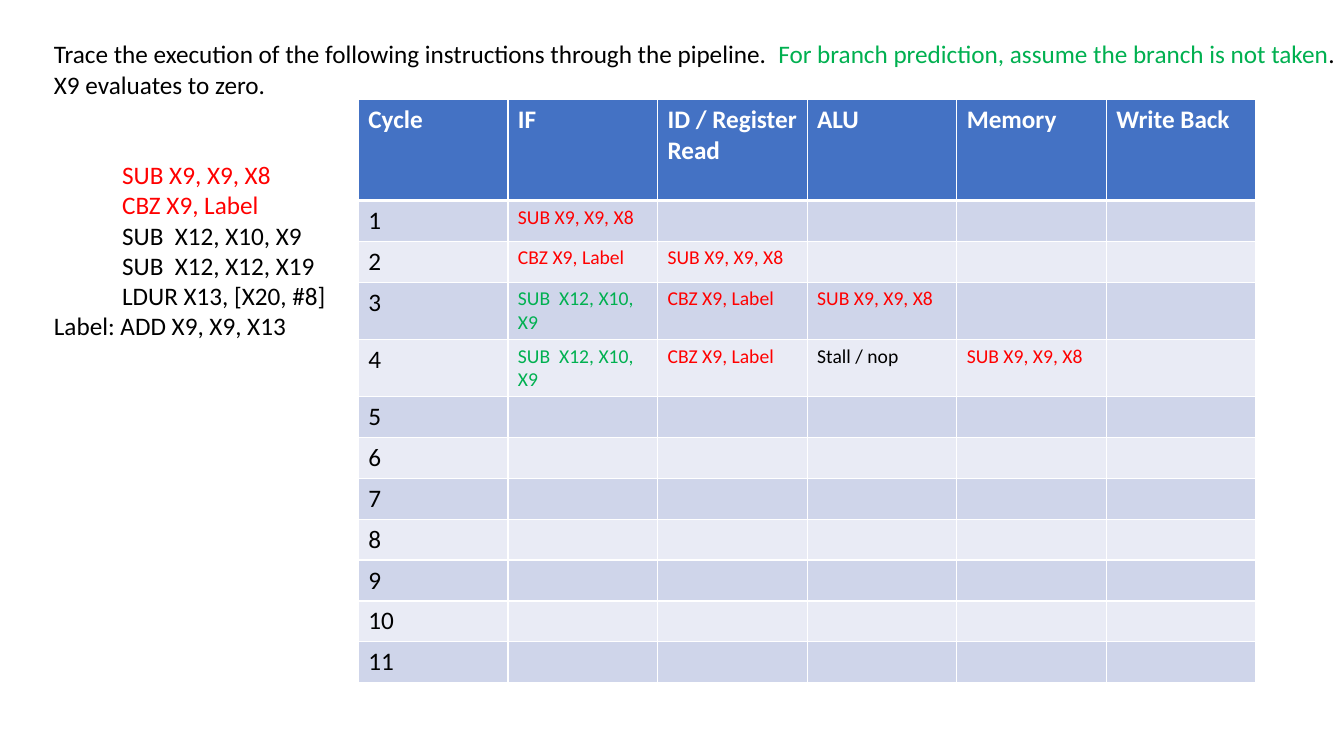
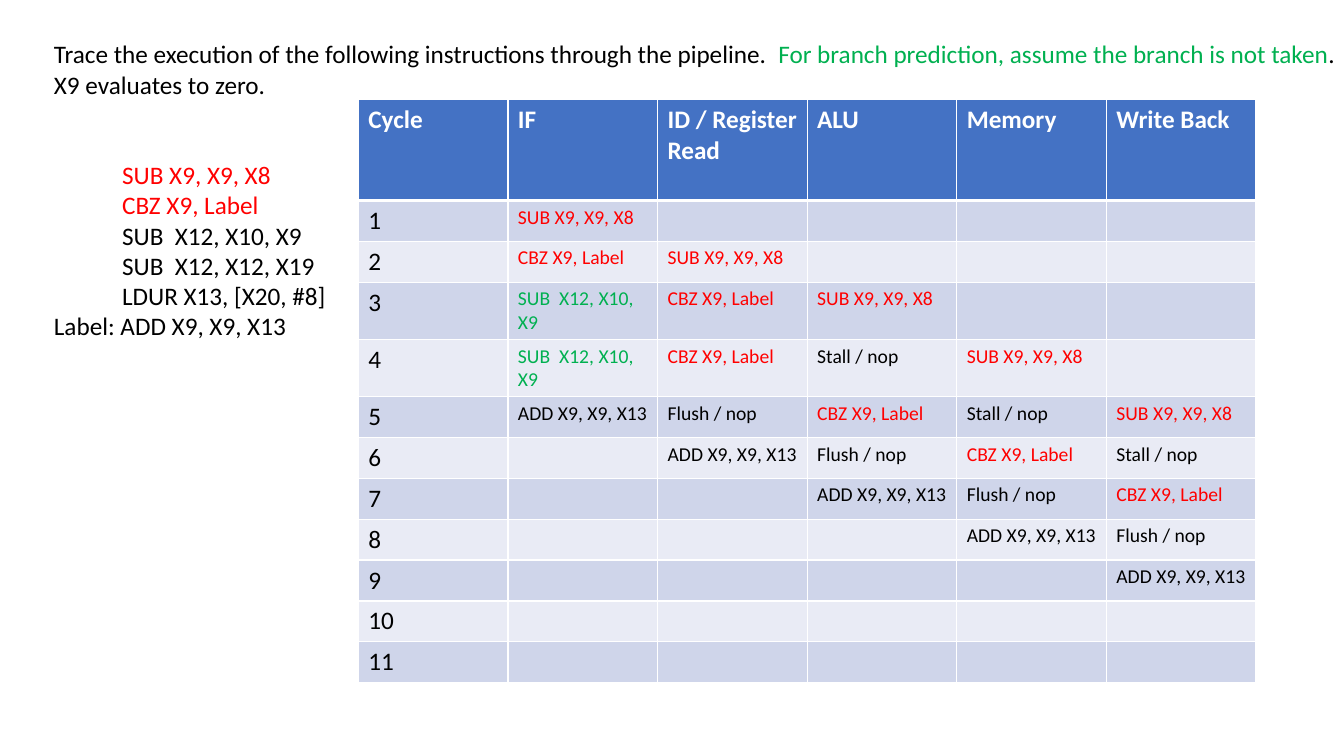
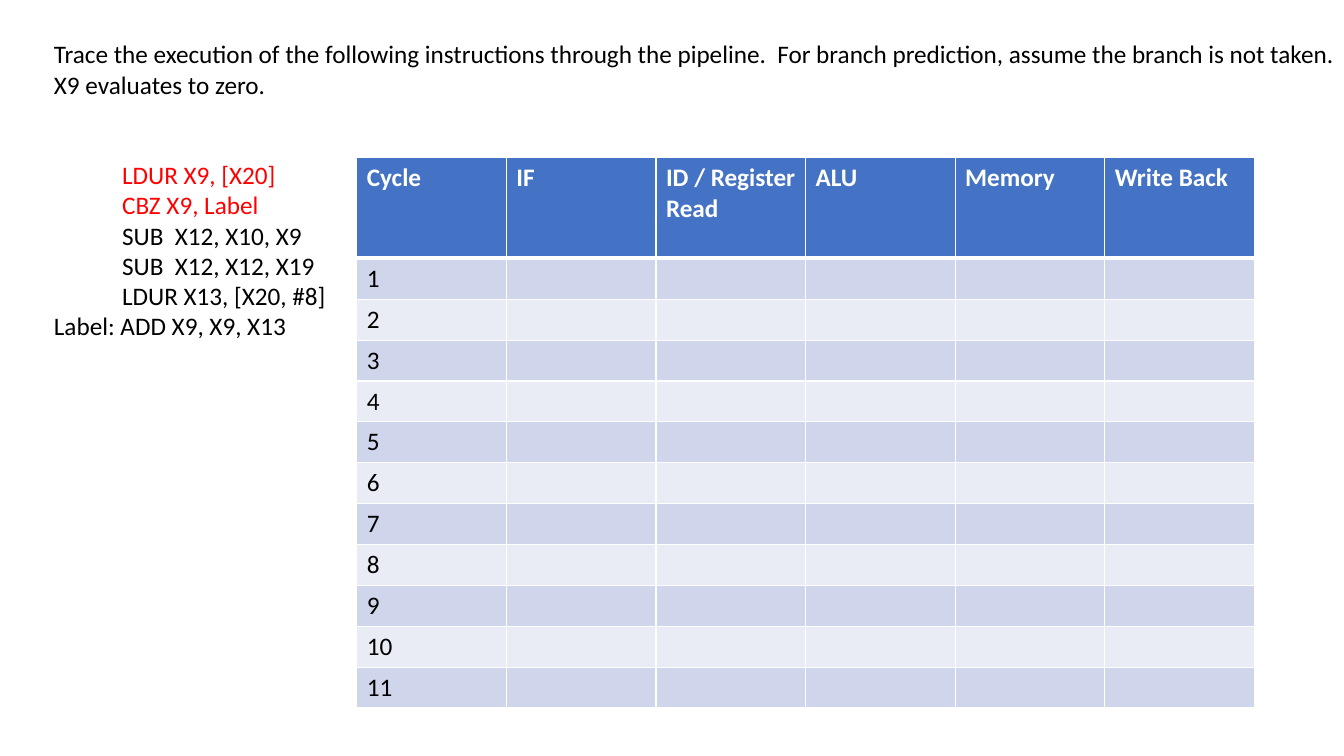
"""Builds three slides that trace instructions through a processor pipeline."""
from lxml import etree
from pptx import Presentation
from pptx.dml.color import RGBColor
from pptx.enum.text import MSO_AUTO_SIZE
from pptx.oxml.ns import qn
from pptx.util import Cm, Pt

GROW = MSO_AUTO_SIZE.SHAPE_TO_FIT_TEXT
BLANK = 6
FONT = "Calibri"
BLACK, WHITE, RED, GREEN = "000000", "FFFFFF", "FF0000", "00B050"
HEADER_FILL, BAND_FILLS = "4472C4", ("E9EBF5", "CFD5EA")

TASK = "Trace the execution of the following instructions through the pipeline.  "
PREDICTION = "For branch prediction, assume the branch is not taken"
OUTCOME = "X9 evaluates to zero."
INDENT = "            "
SHARED_CODE = [
    (INDENT + "CBZ X9, Label", RED),
    (INDENT + "SUB  X12, X10, X9", BLACK),
    (INDENT + "SUB  X12, X12, X19", BLACK),
    (INDENT + "LDUR X13, [X20, #8]", BLACK),
    ("Label: ADD X9, X9, X13", BLACK),
]

STAGES = ["Cycle", "IF", "ID / Register Read", "ALU", "Memory", "Write Back"]
CYCLES = 11
SUB, CBZ, NEXT, ADD = "SUB X9, X9, X8", "CBZ X9, Label", "SUB  X12, X10, X9", "ADD X9, X9, X13"
STALL, FLUSH = "Stall / nop", "Flush / nop"
CELL_COLOURS = {SUB: RED, CBZ: RED, NEXT: GREEN}
TRACE = [
    [SUB],
    [CBZ, SUB],
    [NEXT, CBZ, SUB],
    [NEXT, CBZ, STALL, SUB],
    [ADD, FLUSH, CBZ, STALL, SUB],
    ["", ADD, FLUSH, CBZ, STALL],
    ["", "", ADD, FLUSH, CBZ],
    ["", "", "", ADD, FLUSH],
    ["", "", "", "", ADD],
]

SLIDES = [
    {"first": SUB, "prediction": GREEN, "trace": TRACE[:4], "table_at": (9.03, 2.51)},
    {"first": SUB, "prediction": GREEN, "trace": TRACE, "table_at": (9.03, 2.51)},
    {"first": "LDUR X9, [X20]", "prediction": BLACK, "trace": [], "table_at": (8.99, 3.97)},
]
COLUMN_WIDTH, HEADER_HEIGHT, ROW_HEIGHT = 3.77, 2.54, 1.03


def rgb(colour):
    return RGBColor.from_string(colour)


def add_run(p, text, colour=BLACK, **extra):
    r = p.add_run()
    r.text = text
    for name, value in {"name": FONT, "size": Pt(18), **extra}.items():
        setattr(r.font, name, value)
    r.font.color.rgb = rgb(colour)


def add_exercise(s, first, prediction):
    tf = s.shapes.add_textbox(Cm(1.11), Cm(0.85), Cm(33.2), Cm(7.95)).text_frame
    tf.word_wrap, tf.auto_size = False, GROW
    code = [(INDENT + first, RED)] + SHARED_CODE
    lines = [[(TASK, BLACK), (PREDICTION, prediction), (".", BLACK)], [(OUTCOME, BLACK)]]
    code_start = len(lines)
    lines += [[line] for line in code]
    for i, runs in enumerate(lines):
        p = tf.add_paragraph() if i else tf.paragraphs[0]
        if i == code_start:
            p.space_before = Pt(43)
        for text, colour in runs:
            add_run(p, text, colour)


def underline_header(cell):
    line = etree.Element(qn("a:lnB"), w=str(Pt(3)))
    fill = etree.SubElement(line, qn("a:solidFill"))
    etree.SubElement(fill, qn("a:srgbClr"), val=WHITE)
    cell._tc.get_or_add_tcPr().insert(0, line)


def add_pipeline(s, trace, left, top):
    rows, cols = CYCLES + 1, len(STAGES)
    height = HEADER_HEIGHT + CYCLES * ROW_HEIGHT
    table = s.shapes.add_table(rows, cols, Cm(left), Cm(top),
                               Cm(cols * COLUMN_WIDTH), Cm(height)).table
    for column in table.columns:
        column.width = Cm(COLUMN_WIDTH)
    for i, row in enumerate(table.rows):
        row.height = Cm(ROW_HEIGHT if i else HEADER_HEIGHT)
        steps = trace[i - 1] if 0 < i <= len(trace) else []
        texts = [str(i)] + steps if i else STAGES
        for j, cell in enumerate(row.cells):
            cell.fill.solid()
            cell.fill.fore_color.rgb = rgb(BAND_FILLS[i % 2] if i else HEADER_FILL)
            text = texts[j] if j < len(texts) else ""
            if not text:
                continue
            p = cell.text_frame.paragraphs[0]
            if i == 0:
                add_run(p, text, WHITE, bold=True)
                underline_header(cell)
            else:
                add_run(p, text, CELL_COLOURS.get(text, BLACK), size=Pt(14 if j else 18))


def main():
    prs = Presentation()
    prs.slide_width, prs.slide_height = Cm(33.87), Cm(19.05)
    for content in SLIDES:
        s = prs.slides.add_slide(prs.slide_layouts[BLANK])
        add_exercise(s, content["first"], content["prediction"])
        add_pipeline(s, content["trace"], *content["table_at"])
    prs.save("out.pptx")


if __name__ == "__main__":
    main()
